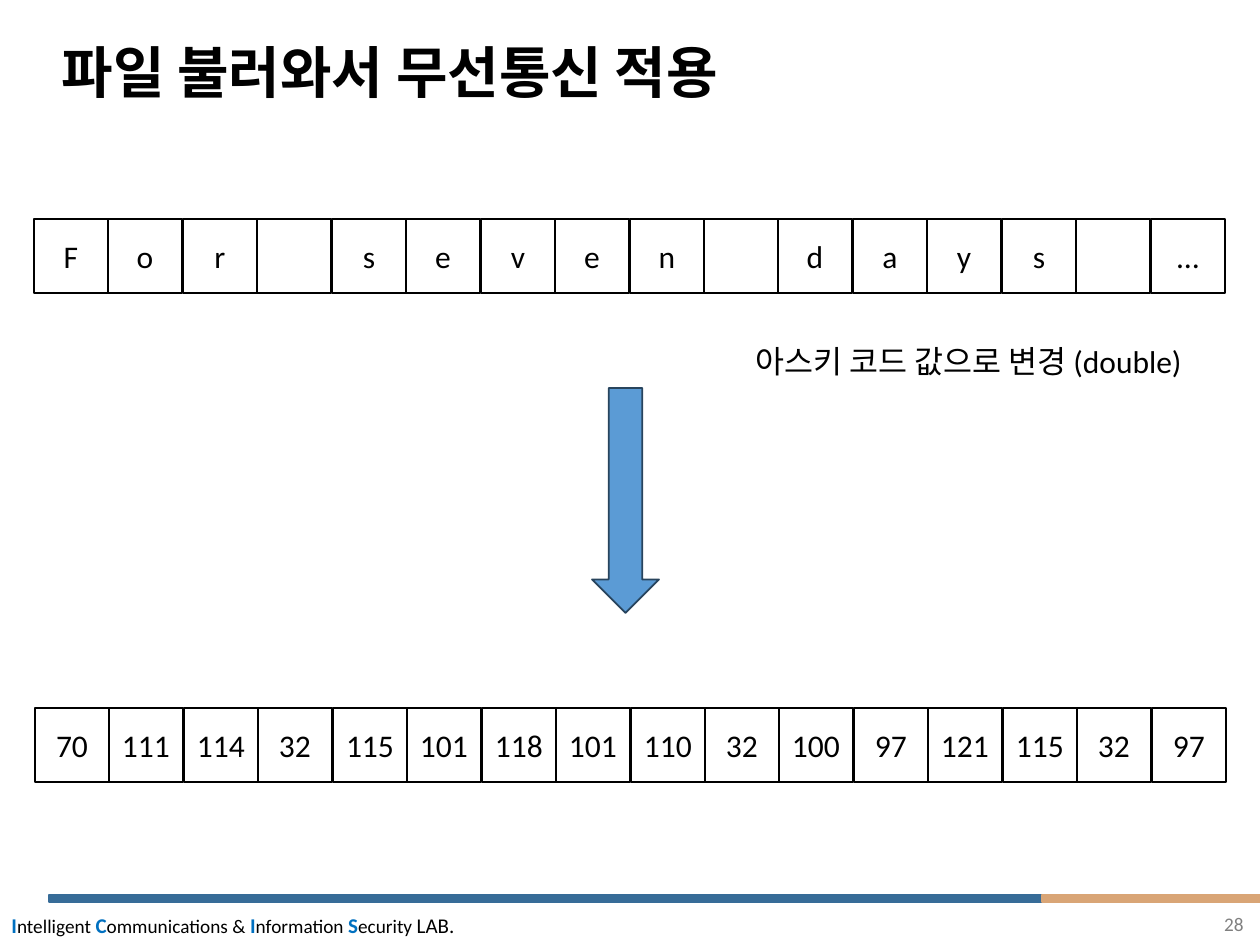
import pptx
import pptx.util
import pptx.dml.color
import pptx.enum.shapes
import pptx.enum.text

PX = 914400 // 126
SHAPE = pptx.enum.shapes.MSO_SHAPE
ALIGN = pptx.enum.text.PP_ALIGN
MIDDLE = pptx.enum.text.MSO_ANCHOR.MIDDLE


def rgb(color):
    return pptx.dml.color.RGBColor.from_string(color)


def write(sp, runs, align=ALIGN.LEFT, **frame):
    """Fill the first paragraph with (text, size, color, bold) runs."""
    tf = sp.text_frame
    for name, value in frame.items():
        setattr(tf, name, value)
    p = tf.paragraphs[0]
    p.alignment = align
    for text, size, color, bold in runs:
        r = p.add_run()
        r.text = text
        font = {"name": "Calibri", "size": pptx.util.Pt(size), "bold": bold}
        for name, value in font.items():
            setattr(r.font, name, value)
        r.font.color.rgb = rgb(color)
    return p


prs = pptx.Presentation()
prs.slide_width = 1260 * PX
prs.slide_height = 945 * PX
s = prs.slides.add_slide(prs.slide_layouts[5])

# Title
title = s.shapes.title
box = {"left": 49, "top": 25, "width": 1160, "height": 100}
for name, value in box.items():
    setattr(title, name, value * PX)
p = write(title, [("파일 불러와서 무선통신 적용", 32, "000000", True)],
          vertical_anchor=MIDDLE)
p.line_spacing = 0.9

# Footer bars and the arrow: kind, left, top, width, height, fill, line
shapes = [
    (SHAPE.RECTANGLE, 49, 895, 999, 7, "376C98", "376C98"),
    (SHAPE.RECTANGLE, 1042, 895, 218, 7, "D9A576", "D9A576"),
    (SHAPE.DOWN_ARROW, 592, 388, 67, 225, "5B9BD5", "28445D"),
]

# Character row and ASCII code row, 16 cells each
text = "For seven days a"
rows = [
    (34, 219, list(text[:-1]) + ["…"]),
    (35, 708, [str(ord(char)) for char in text]),
]
labels = [""] * len(shapes)
ROW_WIDTH, CELL = 1191, 74
for left, top, values in rows:
    for i, value in enumerate(values):
        x = left + round(i * ROW_WIDTH / len(values))
        shapes.append((SHAPE.RECTANGLE, x, top, CELL, CELL, "FFFFFF", "000000"))
        labels.append(value.strip())

for (kind, x, y, w, h, fill, line), label in zip(shapes, labels):
    sp = s.shapes.add_shape(kind, x * PX, y * PX, w * PX, h * PX)
    sp.shadow.inherit = False
    sp.fill.solid()
    sp.fill.fore_color.rgb = rgb(fill)
    sp.line.color.rgb = rgb(line)
    sp.line.width = pptx.util.Pt(1)
    if label:
        write(sp, [(label, 18, "000000", False)], ALIGN.CENTER,
              vertical_anchor=MIDDLE, margin_left=0, margin_right=0)

# Caption, lab name and page number
lab = []
for initial, rest in [("I", "ntelligent "), ("C", "ommunications & "),
                      ("I", "nformation "), ("S", "ecurity ")]:
    lab += [(initial, 12, "0070C0", True), (rest, 11, "000000", False)]
lab.append(("LAB.", 12, "000000", False))

texts = [
    (743, 336, 483, 50, ALIGN.LEFT, False,
     [("아스키 코드 값으로 변경 (double)", 18, "000000", False)]),
    (-1, 906, 471, 38, ALIGN.LEFT, False, lab),
    (973, 906, 283, 50, ALIGN.RIGHT, True, [("28", 11, "808080", False)]),
]
for x, y, w, h, align, wrap, runs in texts:
    sp = s.shapes.add_textbox(x * PX, y * PX, w * PX, h * PX)
    write(sp, runs, align, word_wrap=wrap)

prs.save("out.pptx")
